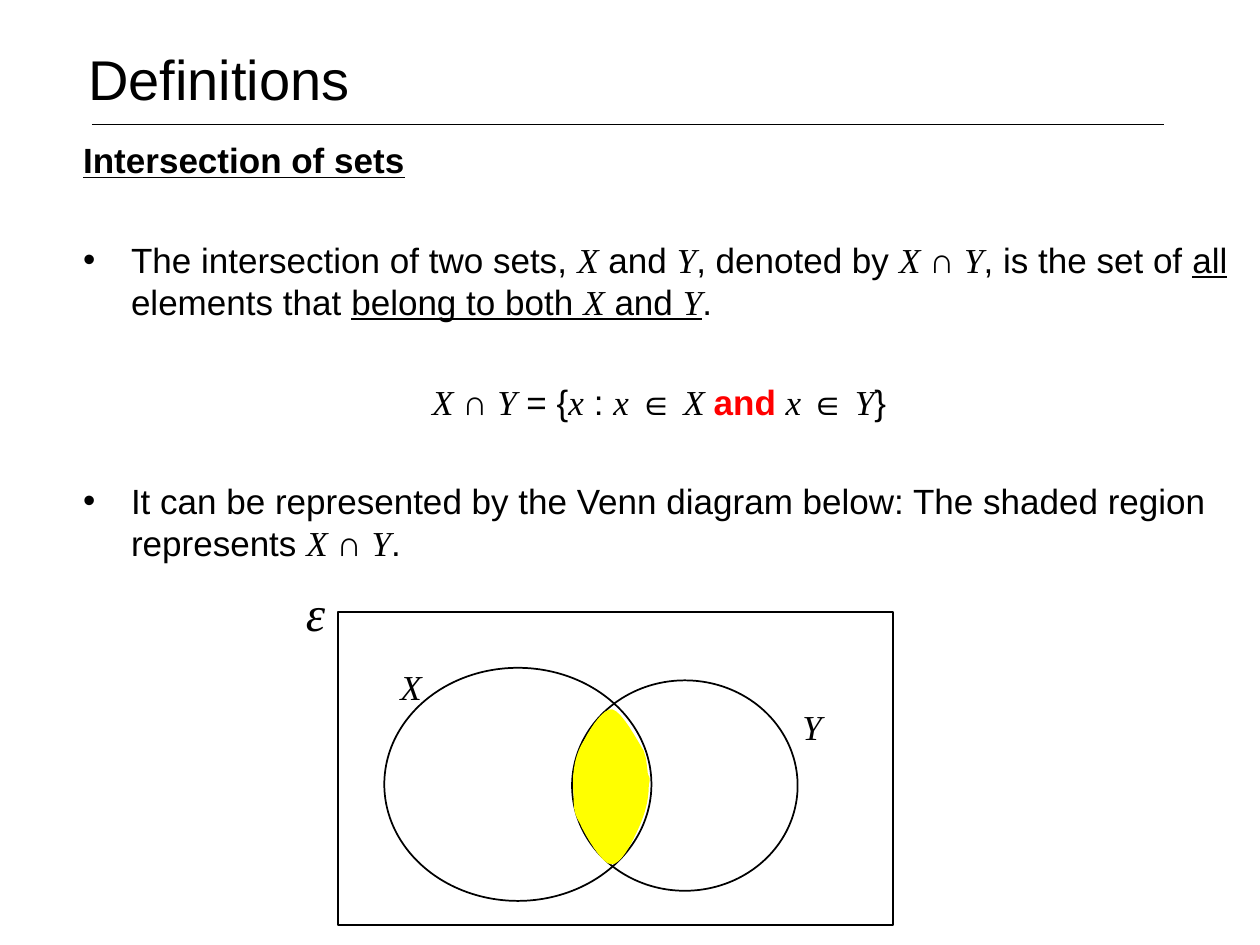
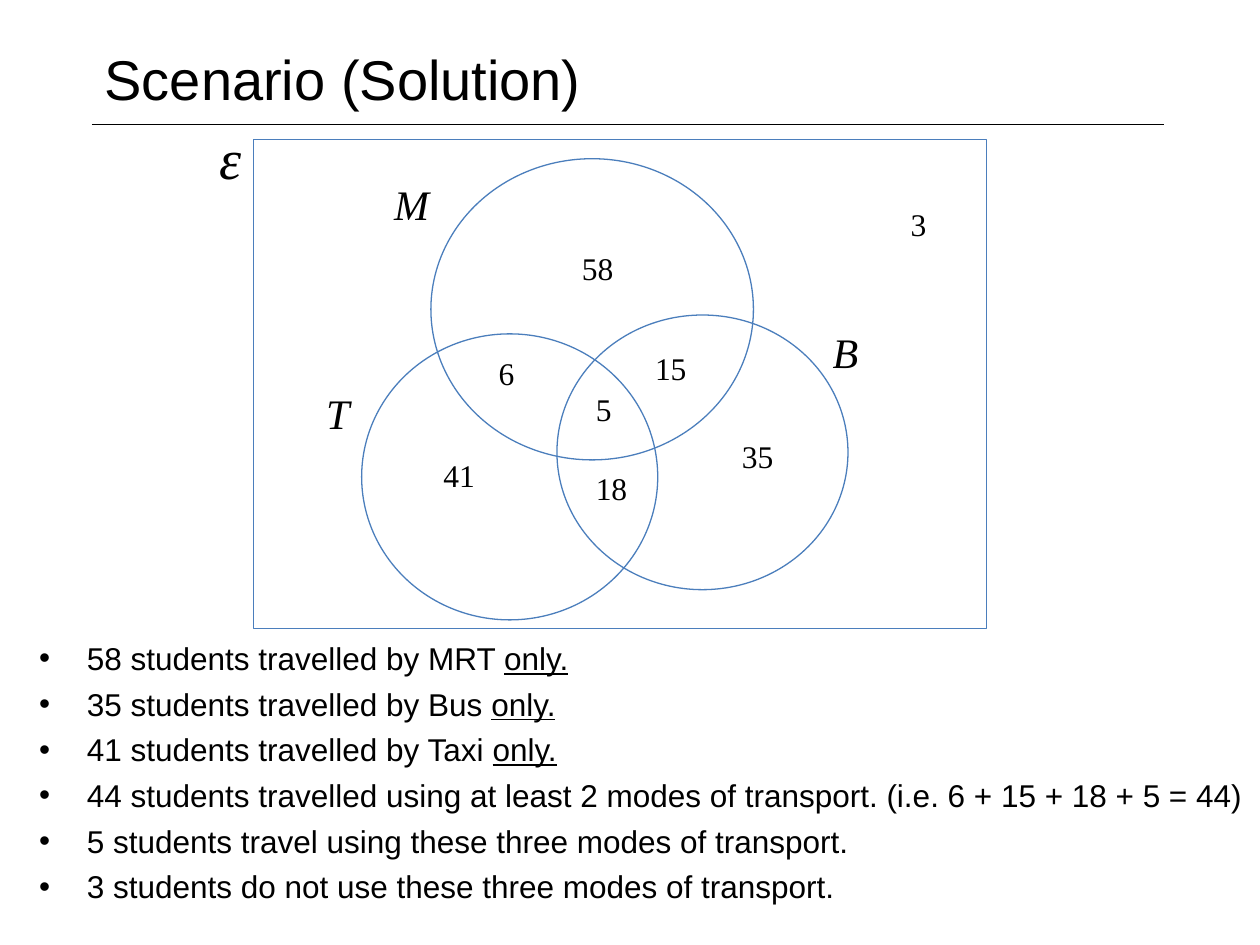
from dataclasses import dataclass
from typing import NamedTuple

from lxml.etree import SubElement
from pptx import Presentation
from pptx.dml.color import RGBColor
from pptx.enum.shapes import MSO_CONNECTOR, MSO_SHAPE
from pptx.enum.text import MSO_ANCHOR, MSO_AUTO_SIZE, PP_ALIGN
from pptx.oxml.ns import qn
from pptx.util import Pt

EMU_PER_PX = 9144


@dataclass(frozen=True)
class Theme:
    """Colours, fonts and type sizes that the slides share."""
    ink: RGBColor = RGBColor(0x00, 0x00, 0x00)
    accent: RGBColor = RGBColor(0xFF, 0x00, 0x00)
    shade: RGBColor = RGBColor(0xFF, 0xFF, 0x00)
    outline: RGBColor = RGBColor(0x4B, 0x7E, 0xBC)
    text_font: str = "Arial"
    math_font: str = "Times New Roman"
    title_size: int = 32
    definition_size: int = 20
    list_size: int = 18
    count_size: int = 18
    set_size: int = 24


THEME = Theme()


class Box(NamedTuple):
    """A rectangle in px."""
    left: int
    top: int
    width: int
    height: int

    def within(self, frame):
        """Move this box from frame coordinates to slide coordinates."""
        return Box(frame.left + self.left, frame.top + self.top, self.width, self.height)

    def emu(self):
        """Return the four lengths in EMU."""
        return [px(length) for length in self]


class Label(NamedTuple):
    """A piece of diagram text with its box inside the frame."""
    text: str
    box: Box
    size: int
    wrap: bool = False


def px(length):
    """Turn px into EMU."""
    return round(length * EMU_PER_PX)


def math(text):
    """Return an italic run for a set or element name."""
    return text, "math"


def underlined(text):
    """Return an underlined run."""
    return text, "underline"


def add_runs(paragraph, parts):
    """Add plain strings and (text, styles) pairs as runs."""
    for part in parts:
        text, styles = (part, "") if isinstance(part, str) else part
        run = paragraph.add_run()
        run.text = text
        font = run.font
        font.name = THEME.math_font if "math" in styles else THEME.text_font
        if "math" in styles:
            font.italic = True
        if "underline" in styles:
            font.underline = True
        if "accent" in styles:
            font.bold = True
            font.color.rgb = THEME.accent


def format_paragraph(paragraph, size, space_before, bulleted):
    """Set the bullet, indent, spacing and type of a body paragraph."""
    properties = paragraph._p.get_or_add_pPr()
    indent = px(38) if bulleted else 0
    properties.set("marL", str(indent))
    properties.set("indent", str(-indent))
    if bulleted:
        SubElement(properties, qn("a:buFont")).set("typeface", THEME.text_font)
        SubElement(properties, qn("a:buChar")).set("char", "•")
    else:
        SubElement(properties, qn("a:buNone"))
    paragraph.space_before = Pt(space_before)
    paragraph.font.size = Pt(size)
    paragraph.font.color.rgb = THEME.ink


def place(shape, box):
    """Move a placeholder to a box."""
    shape.left, shape.top, shape.width, shape.height = box.emu()


def add_titled_slide(presentation, title, title_left):
    """Add a slide with its title and the thin rule under it."""
    slide = presentation.slides.add_slide(presentation.slide_layouts[1])
    shape = slide.shapes.title
    place(shape, Box(title_left, 29, 679, 66))
    shape.text_frame.text = title
    shape.text_frame.auto_size = MSO_AUTO_SIZE.NONE
    shape.text_frame.vertical_anchor = MSO_ANCHOR.MIDDLE
    paragraph = shape.text_frame.paragraphs[0]
    paragraph.alignment = PP_ALIGN.LEFT
    paragraph.font.name = THEME.text_font
    paragraph.font.size = Pt(THEME.title_size)
    paragraph.font.color.rgb = THEME.ink

    rule = slide.shapes.add_connector(MSO_CONNECTOR.STRAIGHT, px(73), px(99), px(924), px(99))
    rule.line.color.rgb = THEME.ink
    rule.line.width = Pt(0.25)
    SubElement(rule._element.spPr, qn("a:effectLst"))
    return slide


def prepare_body(slide, box):
    """Place the body placeholder and return its text frame."""
    body = slide.placeholders[1]
    place(body, box)
    body.text_frame.auto_size = MSO_AUTO_SIZE.NONE
    body.text_frame.vertical_anchor = MSO_ANCHOR.TOP
    return body.text_frame


def add_outline(slide, kind, box, color, width):
    """Add an unfilled outline shape."""
    shape = slide.shapes.add_shape(kind, *box.emu())
    shape.shadow.inherit = False
    shape.fill.background()
    shape.line.color.rgb = color
    shape.line.width = Pt(width)


def add_label(slide, frame, label, line_spacing):
    """Add a set name in italics or a count upright."""
    shape = slide.shapes.add_textbox(*label.box.within(frame).emu())
    text_frame = shape.text_frame
    text_frame.word_wrap = label.wrap
    text_frame.auto_size = MSO_AUTO_SIZE.SHAPE_TO_FIT_TEXT
    text_frame.text = label.text
    paragraph = text_frame.paragraphs[0]
    paragraph.line_spacing = line_spacing
    paragraph.font.name = THEME.math_font
    paragraph.font.size = Pt(label.size)
    paragraph.font.italic = not label.text.isdigit()
    paragraph.font.color.rgb = THEME.ink


def add_venn(slide, frame, circles, labels, color, width, line_spacing=1.0):
    """Draw a universal set with its circles and labels."""
    add_outline(slide, MSO_SHAPE.RECTANGLE, frame, color, width)
    for circle in circles:
        add_outline(slide, MSO_SHAPE.OVAL, circle.within(frame), color, width)
    for label in labels:
        add_label(slide, frame, label, line_spacing)


def curve_points(start, curves, steps=8):
    """Sample a chain of cubic curves."""
    points = [start]
    for curve in curves:
        corners = [points[-1], *curve]
        for step in range(1, steps + 1):
            t = step / steps
            weights = ((1 - t) ** 3, 3 * t * (1 - t) ** 2, 3 * t * t * (1 - t), t ** 3)
            points.append(tuple(sum(weight * corner[axis] for weight, corner in zip(weights, corners))
                                for axis in (0, 1)))
    return points


def add_intersection(slide, frame):
    """Shade the region that both circles share."""
    curves = [
        [(186, 126), (189, 111), (196, 101)],
        [(201, 91), (211, 76), (218, 77)],
        [(226, 79), (238, 102), (243, 110)],
        [(246, 121), (244, 111), (246, 126)],
        [(246, 131), (249, 129), (247, 137)],
        [(247, 149), (244, 160), (239, 171)],
        [(234, 182), (225, 201), (217, 200)],
        [(210, 200), (197, 178), (192, 167)],
        [(186, 157), (188, 153), (187, 140)],
    ]
    points = [(px(frame.left + x), px(frame.top + y)) for x, y in curve_points((187, 140), curves)]
    builder = slide.shapes.build_freeform(*points[0])
    builder.add_line_segments(points[1:], close=True)
    region = builder.convert_to_shape()
    region.shadow.inherit = False
    region.fill.solid()
    region.fill.fore_color.rgb = THEME.shade
    region.line.fill.background()


def write_definition(slide, box):
    """Write the definition of an intersection."""
    text_frame = prepare_body(slide, box)
    heading = text_frame.paragraphs[0]
    format_paragraph(heading, THEME.definition_size, 4, False)
    heading.font.name = THEME.text_font
    heading.font.bold = True
    heading.font.underline = True
    heading.add_run().text = "Intersection of sets"

    intersection = [math("X "), "∩ ", math("Y")]
    definition = [
        "The intersection of two sets, ", math("X"), " and ", math("Y"), ", denoted by ",
        *intersection, ", is the set of ", underlined("all"), " elements that ",
        underlined("belong to both "), ("X", "math underline"), underlined(" and "),
        ("Y", "math underline"), ".",
    ]
    formula = [
        *intersection, " = {", math("x"), " : ", math("x"), " ∈ ", math("X "),
        ("and ", "accent"), math("x "), "∈ ", math("Y"), "} ",
    ]
    diagram_note = [
        "It can be represented by the Venn diagram below: The shaded region represents ",
        *intersection, ".",
    ]
    for parts in (definition, formula, diagram_note):
        paragraph = text_frame.add_paragraph()
        format_paragraph(paragraph, THEME.definition_size, 33, parts is not formula)
        if parts is formula:
            paragraph.alignment = PP_ALIGN.CENTER
        add_runs(paragraph, parts)


def write_findings(slide, box):
    """List what the three-set diagram shows."""
    text_frame = prepare_body(slide, box)
    text_frame.margin_top = px(40)
    only = [[f"{count} students travelled by {mode} ", underlined("only.")]
            for count, mode in ((58, "MRT"), (35, "Bus"), (41, "Taxi"))]
    findings = only + [
        ["44 students travelled using at least 2 modes of transport. (i.e. 6 + 15 + 18 + 5 = 44)"],
        ["5 students travel using these three modes of transport."],
        ["3 students do not use these three modes of transport."],
    ]
    for index, parts in enumerate(findings):
        paragraph = text_frame.add_paragraph() if index else text_frame.paragraphs[0]
        format_paragraph(paragraph, THEME.list_size, 4.5, True)
        add_runs(paragraph, parts)


def build_definitions(presentation):
    """Build the slide that defines an intersection."""
    slide = add_titled_slide(presentation, "Definitions", 60)
    write_definition(slide, Box(56, 105, 942, 562))
    frame = Box(268, 486, 441, 248)
    circles = [Box(186, 54, 179, 167), Box(37, 44, 212, 185)]
    labels = [
        Label("ε", Box(-35, -23, 47, 53), 28, True),
        Label("X", Box(40, 41, 37, 40), THEME.definition_size),
        Label("Y", Box(359, 73, 36, 40), THEME.definition_size),
    ]
    add_venn(slide, frame, circles, labels, THEME.ink, 1, 0.9)
    add_intersection(slide, frame)


def build_solution(presentation):
    """Build the slide that solves the transport scenario."""
    slide = add_titled_slide(presentation, "Scenario (Solution)", 73)
    write_findings(slide, Box(21, 467, 976, 267))
    circles = [Box(241, 139, 231, 218), Box(86, 154, 235, 227), Box(141, 15, 256, 239)]
    labels = [
        Label("ε", Box(-37, -18, 32, 64), THEME.title_size, True),
        Label("T", Box(48, 192, 39, 50), THEME.set_size),
        Label("B", Box(450, 143, 80, 50), THEME.set_size, True),
        Label("M", Box(102, 26, 48, 50), THEME.set_size),
        Label("6", Box(185, 165, 33, 40), THEME.count_size),
        Label("18", Box(262, 256, 45, 40), THEME.count_size),
        Label("15", Box(309, 161, 45, 40), THEME.count_size),
        Label("5", Box(262, 194, 39, 40), THEME.count_size),
        Label("41", Box(141, 246, 110, 40), THEME.count_size, True),
        Label("35", Box(378, 231, 189, 40), THEME.count_size, True),
        Label("58", Box(251, 82, 45, 40), THEME.count_size),
        Label("3", Box(512, 47, 33, 40), THEME.count_size),
    ]
    add_venn(slide, Box(201, 111, 582, 388), circles, labels, THEME.outline, 0.75)


def main():
    """Build and save the presentation."""
    presentation = Presentation()
    presentation.slide_width, presentation.slide_height = px(1000), px(750)
    build_definitions(presentation)
    build_solution(presentation)
    presentation.save("out.pptx")


if __name__ == "__main__":
    main()
